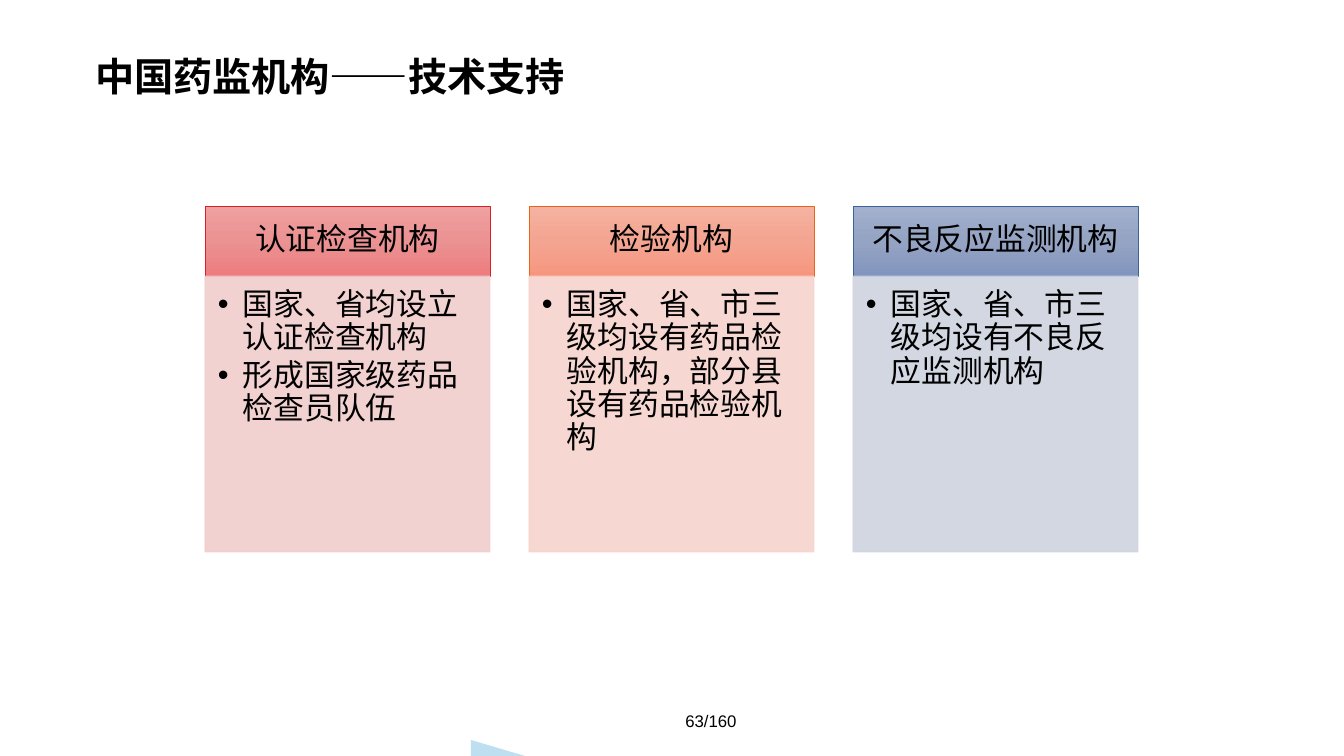
import copy

import pptx
import pptx.util
from pptx.dml.color import RGBColor
from pptx.enum.shapes import MSO_SHAPE
from pptx.enum.text import MSO_ANCHOR, MSO_AUTO_SIZE, PP_ALIGN
from pptx.oxml.ns import qn
from pptx.oxml.xmlchemy import OxmlElement

SLIDE_WIDTH, SLIDE_HEIGHT = 1344, 756
SCALE = 12192000 / SLIDE_WIDTH

CJK_FONT = "Noto Sans CJK SC"
BLACK = RGBColor(0x00, 0x00, 0x00)
WHITE = RGBColor(0xFF, 0xFF, 0xFF)
PALE_BLUE = RGBColor(0xBE, 0xDF, 0xF0)

# Heading, points, header gradient, header line, body fill
COLUMNS = [
    ("认证检查机构",
     ["国家、省均设立认证检查机构", "形成国家级药品检查员队伍"],
     [RGBColor(0xEF, 0xA0, 0xA1), RGBColor(0xEB, 0x92, 0x93), RGBColor(0xED, 0x7D, 0x7F)],
     RGBColor(0xDA, 0x1F, 0x28), RGBColor(0xF1, 0xCD, 0xCD)),
    ("检验机构",
     ["国家、省、市三级均设有药品检验机构，部分县设有药品检验机构"],
     [RGBColor(0xF6, 0xB2, 0xA0), RGBColor(0xF3, 0xA5, 0x92), RGBColor(0xF7, 0x96, 0x7E)],
     RGBColor(0xEB, 0x64, 0x1B), RGBColor(0xF7, 0xD3, 0xCD)),
    ("不良反应监测机构",
     ["国家、省、市三级均设有不良反应监测机构"],
     [RGBColor(0xA2, 0xB0, 0xCE), RGBColor(0x96, 0xA4, 0xC4), RGBColor(0x82, 0x95, 0xBE)],
     RGBColor(0x39, 0x63, 0x9D), RGBColor(0xCE, 0xD3, 0xDF)),
]


def px(length):
    return pptx.util.Emu(round(length * SCALE))


def set_frame(frame, anchor, insets):
    frame.word_wrap = True
    frame.auto_size = MSO_AUTO_SIZE.NONE
    frame.vertical_anchor = anchor
    frame.margin_left, frame.margin_top, frame.margin_right, frame.margin_bottom = map(px, insets)


def add_span(para, text, size, font=CJK_FONT, bold=False):
    span = para.add_run()
    span.text = text
    span.font.size = pptx.util.Pt(size)
    span.font.name = font
    span.font.bold = bold
    span.font.color.rgb = BLACK
    east_asian = OxmlElement("a:ea")
    east_asian.set("typeface", font)
    span.font._element.find(qn("a:latin")).addnext(east_asian)


def add_box(page, shape_type, left, top, width, height):
    box = page.shapes.add_shape(shape_type, px(left), px(top), px(width), px(height))
    box.shadow.inherit = False
    return box


def fill_gradient(box, colours):
    """Fill the box from top to bottom with three evenly spaced colours."""
    box.fill.gradient()
    box.fill.gradient_angle = 270
    first = box._element.spPr.find(qn("a:gradFill")).find(qn("a:gsLst"))[0]
    first.addnext(copy.deepcopy(first))
    for index, (stop, colour) in enumerate(zip(box.fill.gradient_stops, colours)):
        stop.position = index / 2
        stop.color.rgb = colour


def make_translucent(box, percent):
    for colour in box._element.spPr.iter(qn("a:srgbClr")):
        alpha = OxmlElement("a:alpha")
        alpha.set("val", str(percent * 1000))
        colour.append(alpha)


def add_bullet(para, indent):
    properties = para._p.get_or_add_pPr()
    properties.set("marL", str(px(indent)))
    properties.set("indent", str(-px(indent)))
    bullet_font = OxmlElement("a:buFont")
    bullet_font.set("typeface", "Arial")
    bullet = OxmlElement("a:buChar")
    bullet.set("char", "•")
    properties.extend([bullet_font, bullet])


def add_header(page, left, top, width, height, heading, gradient, line_colour):
    box = add_box(page, MSO_SHAPE.RECTANGLE, left, top, width, height)
    fill_gradient(box, gradient)
    box.line.color.rgb = line_colour
    box.line.width = pptx.util.Pt(0.5)
    set_frame(box.text_frame, MSO_ANCHOR.MIDDLE, (17, 10, 17, 10))
    para = box.text_frame.paragraphs[0]
    para.alignment = PP_ALIGN.CENTER
    para.line_spacing = 0.9
    para.space_after = pptx.util.Pt(8)
    add_span(para, heading, 22)


def add_body(page, left, top, width, height, points, colour):
    box = add_box(page, MSO_SHAPE.RECTANGLE, left, top, width, height)
    box.fill.solid()
    box.fill.fore_color.rgb = colour
    box.line.color.rgb = colour
    box.line.width = pptx.util.Pt(0.5)
    make_translucent(box, 90)
    frame = box.text_frame
    set_frame(frame, MSO_ANCHOR.TOP, (13, 13, 17, 19))
    for index, point in enumerate(points):
        para = frame.add_paragraph() if index else frame.paragraphs[0]
        add_bullet(para, 25)
        para.alignment = PP_ALIGN.LEFT
        para.line_spacing = 0.9
        para.space_after = pptx.util.Pt(3)
        add_span(para, point, 22)


def add_columns(page, left, top, width, height):
    gap, header_height = 39, 70
    column_width = (width - gap * (len(COLUMNS) - 1)) / len(COLUMNS)
    for index, (heading, points, gradient, line_colour, body_colour) in enumerate(COLUMNS):
        column_left = left + index * (column_width + gap)
        add_header(page, column_left, top, column_width, header_height,
                   heading, gradient, line_colour)
        add_body(page, column_left, top + header_height, column_width,
                 height - header_height, points, body_colour)


def add_title(page, left, top, width, height):
    title = page.shapes.title
    title.left, title.top, title.width, title.height = map(px, (left, top, width, height))
    set_frame(title.text_frame, MSO_ANCHOR.MIDDLE, (10, 5, 10, 5))
    para = title.text_frame.paragraphs[0]
    para.alignment = PP_ALIGN.LEFT
    para.line_spacing = 0.9
    add_span(para, "中国药监机构——技术支持", 28, bold=True)


def add_page_number(page, left, top, width, height):
    box = page.shapes.add_textbox(px(left), px(top), px(width), px(height))
    set_frame(box.text_frame, MSO_ANCHOR.MIDDLE, (10, 5, 10, 5))
    para = box.text_frame.paragraphs[0]
    para.alignment = PP_ALIGN.CENTER
    add_span(para, "63/160", 12, font="Arial")


def add_corner(page, left, top, width, height):
    corner = add_box(page, MSO_SHAPE.RIGHT_TRIANGLE, left, top, width, height)
    corner.fill.solid()
    corner.fill.fore_color.rgb = PALE_BLUE
    corner.line.fill.background()


def main():
    deck = pptx.Presentation()
    deck.slide_width, deck.slide_height = px(SLIDE_WIDTH), px(SLIDE_HEIGHT)
    page = deck.slides.add_slide(deck.slide_layouts[5])
    page.background.fill.solid()
    page.background.fill.fore_color.rgb = WHITE
    add_corner(page, 471, 740, 54, 16)
    add_title(page, 85, 43, 1174, 72)
    add_page_number(page, 560, 701, 302, 40)
    add_columns(page, 205, 206, 933, 346)
    deck.save("out.pptx")


if __name__ == "__main__":
    main()
